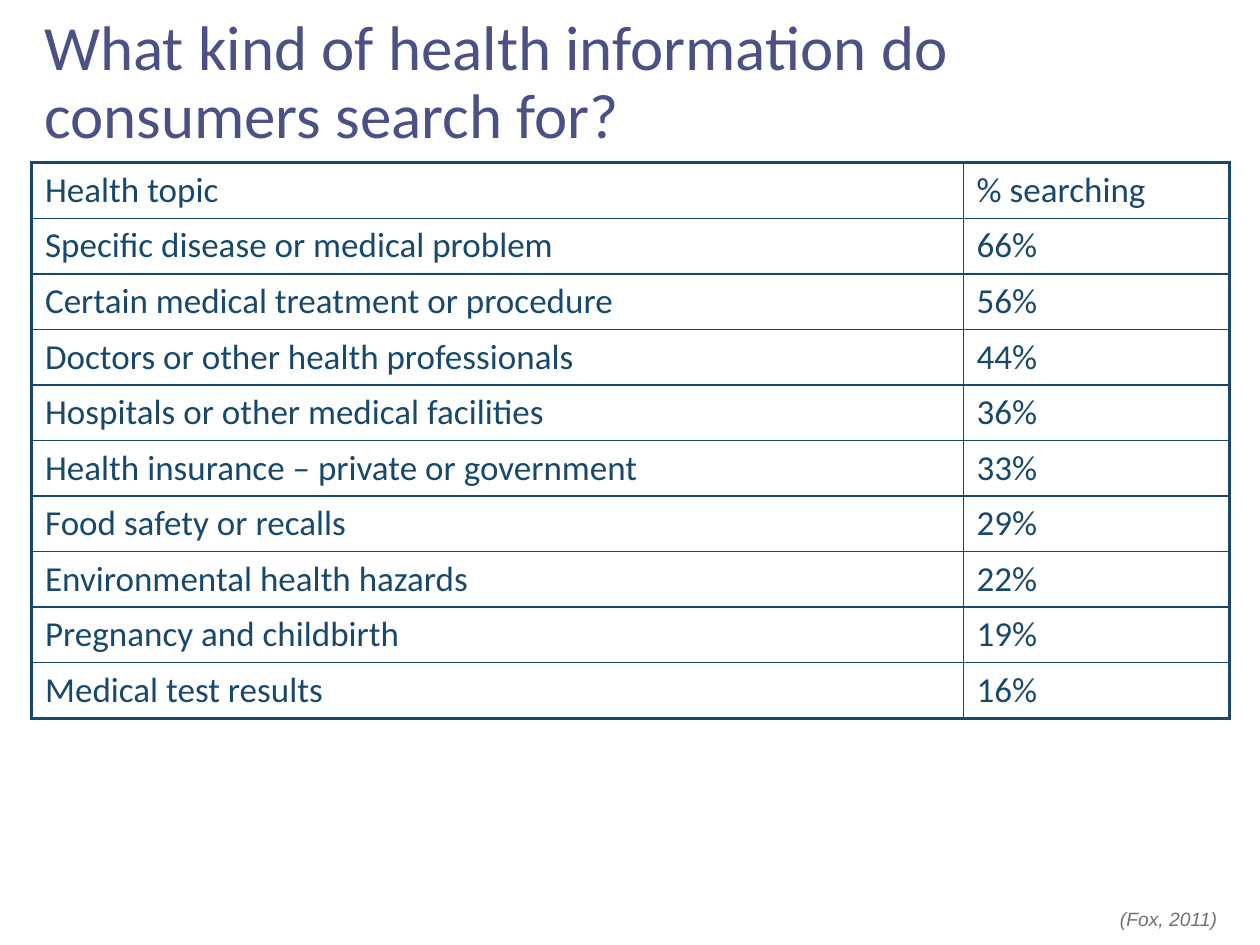
"""Build a one-page table of the health topics that consumers search for."""
from dataclasses import dataclass

from lxml import etree
from pptx import Presentation
from pptx import util as u
from pptx.dml.color import RGBColor
from pptx.enum import text
from pptx.oxml.ns import qn

TITLE = "What kind of health information do consumers search for?"
SOURCE = "(Fox, 2011)"
ROWS = [
    ("Health topic", "% searching"),
    ("Specific disease or medical problem", "66%"),
    ("Certain medical treatment or procedure", "56%"),
    ("Doctors or other health professionals", "44%"),
    ("Hospitals or other medical facilities", "36%"),
    ("Health insurance – private or government", "33%"),
    ("Food safety or recalls", "29%"),
    ("Environmental health hazards", "22%"),
    ("Pregnancy and childbirth", "19%"),
    ("Medical test results", "16%"),
]


@dataclass(frozen=True)
class Theme:
    title_color: str = "4B5185"
    table_color: str = "18496B"
    source_color: str = "757070"
    main_font: str = "Calibri"
    source_font: str = "Arial"
    title_size: int = 36
    table_size: int = 20
    source_size: int = 11
    outer_line: float = 2.25
    inner_line: float = 1


THEME = Theme()
LEFT, WIDTH = 0.64, 24.15
TABLE_TOP, ROW_HEIGHT = 3.28, 1.12
COLUMN_WIDTHS = (18.78, 5.37)
SOURCE_WIDTH = 3.61


def write(frame, words, *, size, color, font=THEME.main_font, italic=False,
          align=text.PP_ALIGN.LEFT, spacing=None):
    frame.word_wrap = True
    para = frame.paragraphs[0]
    para.alignment = align
    para.line_spacing = spacing
    span = para.add_run()
    span.text = words
    span.font.size = u.Pt(size)
    span.font.name = font
    span.font.italic = italic
    span.font.color.rgb = RGBColor.from_string(color)


def add_text(page, words, left, top, width, height,
             anchor=text.MSO_ANCHOR.TOP, **style):
    box = page.shapes.add_textbox(u.Cm(left), u.Cm(top), u.Cm(width), u.Cm(height))
    box.text_frame.vertical_anchor = anchor
    write(box.text_frame, words, spacing=0.9, **style)


def draw_borders(cell, outer_sides):
    properties = cell._tc.get_or_add_tcPr()
    for side in "LRTB":
        points = THEME.outer_line if side in outer_sides else THEME.inner_line
        line = etree.SubElement(properties, qn(f"a:ln{side}"), w=str(u.Pt(points)))
        fill = etree.SubElement(line, qn("a:solidFill"))
        etree.SubElement(fill, qn("a:srgbClr"), val=THEME.table_color)


def add_topic_table(page):
    table = page.shapes.add_table(
        len(ROWS), len(COLUMN_WIDTHS), u.Cm(LEFT), u.Cm(TABLE_TOP),
        u.Cm(WIDTH), u.Cm(ROW_HEIGHT * len(ROWS))).table
    table.first_row = table.horz_banding = False
    for column, width in zip(table.columns, COLUMN_WIDTHS):
        column.width = u.Cm(width)
    for r, values in enumerate(ROWS):
        table.rows[r].height = u.Cm(ROW_HEIGHT)
        for c, value in enumerate(values):
            cell = table.cell(r, c)
            cell.margin_left = cell.margin_right = u.Cm(0.27)
            outer_sides = ("L" if c == 0 else "R")
            outer_sides += {0: "T", len(ROWS) - 1: "B"}.get(r, "")
            draw_borders(cell, outer_sides)
            cell.fill.background()
            write(cell.text_frame, value, size=THEME.table_size,
                  color=THEME.table_color)


def main():
    deck = Presentation()
    deck.slide_width, deck.slide_height = u.Cm(25.4), u.Cm(19.05)
    page = deck.slides.add_slide(deck.slide_layouts[6])
    add_text(page, TITLE, LEFT, 0.43, WIDTH, 2.54,
             anchor=text.MSO_ANCHOR.MIDDLE,
             size=THEME.title_size, color=THEME.title_color)
    add_topic_table(page)
    add_text(page, SOURCE, LEFT + WIDTH - SOURCE_WIDTH, 18.21, SOURCE_WIDTH, 0.64,
             size=THEME.source_size, color=THEME.source_color,
             font=THEME.source_font, italic=True, align=text.PP_ALIGN.RIGHT)
    deck.save("out.pptx")


if __name__ == "__main__":
    main()
